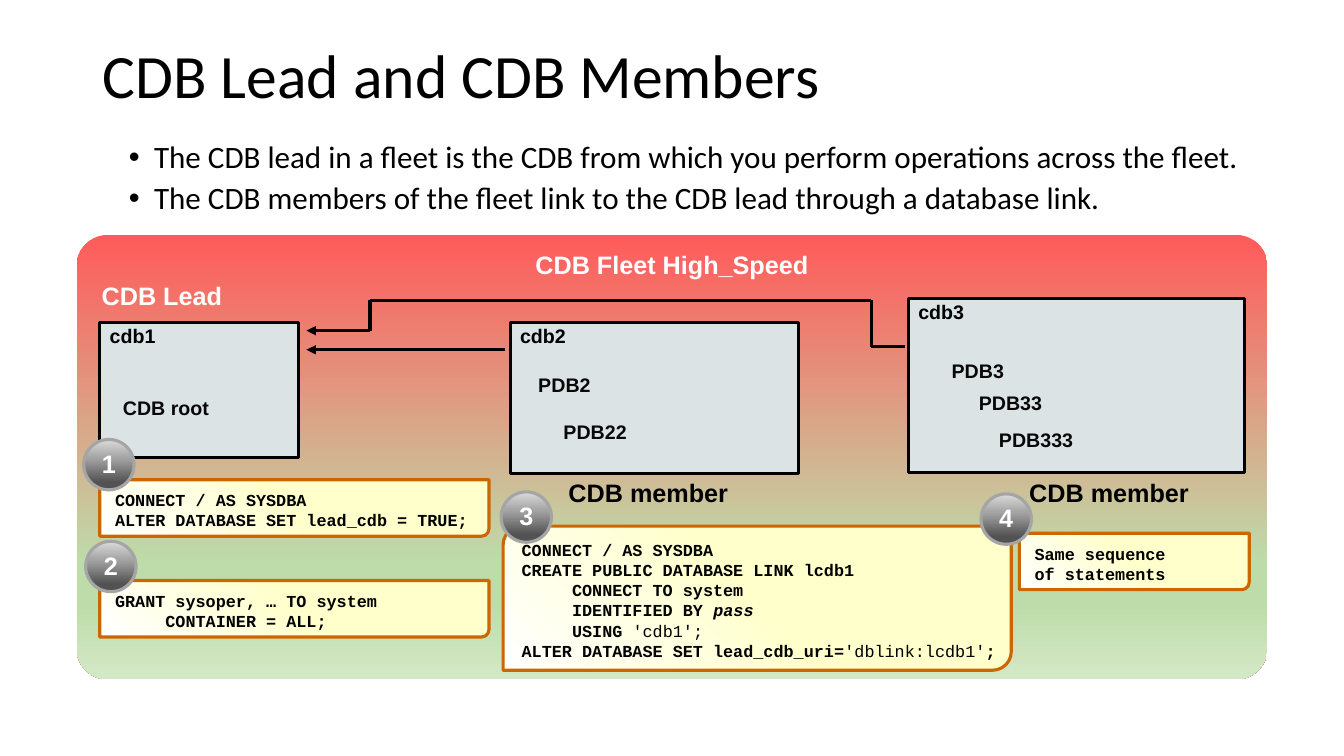
from dataclasses import dataclass
from itertools import pairwise
from typing import Any

import pptx
from lxml import etree
from pptx import oxml as ox
from pptx import util as u
from pptx.dml import color
from pptx.enum import shapes, text
from pptx.oxml import ns

BLACK, WHITE, LABEL = "000000", "FFFFFF", "080808"
PANEL_STOPS = [(0, "FF5B5B"), (74, "BEDCAA"), (83, "BEDCAA"), (100, "D4E8C6")]
CODE_STOPS = [(0, "FFFFCC"), (50, "FFFFCC"), (100, "FFFFFF")]
BADGE_STOPS = [(0, "DBDBDB"), (36, "A5A5A5"), (85, "525252")]
CODE_INSETS = (0.13, 0.08, 0.02, 0.04)
BOX_INSETS = (0.1, 0.05, 0.1, 0.05)
TOP, MIDDLE = text.MSO_ANCHOR.TOP, text.MSO_ANCHOR.MIDDLE
BADGE_SIZE = 0.5

Line = list[tuple[str, str]]


@dataclass
class Database:
    name: str
    x: float
    y: float
    w: float
    h: float


@dataclass
class Label:
    text: str
    x: float
    y: float
    w: float
    size: float = 14
    color: str = LABEL
    wrap: bool = False


@dataclass
class CodeBox:
    x: float
    y: float
    w: float
    h: float
    lines: list[Line]


@dataclass
class Badge:
    number: int
    x: float
    y: float


DATABASES = [
    Database("cdb1", 0.99, 3.2, 1.97, 1.34),
    Database("cdb2", 5.06, 3.2, 2.86, 1.5),
    Database("cdb3", 9.01, 2.96, 3.33, 1.73),
]
LABELS = [
    Label("CDB root", 1.12, 3.88, 1.18, wrap=True),
    Label("PDB2", 5.24, 3.65, 1.26, wrap=True),
    Label("PDB22", 5.49, 4.12, 0.85),
    Label("PDB3", 9.34, 3.51, 0.73),
    Label("PDB33", 9.61, 3.83, 0.84),
    Label("PDB333", 9.81, 4.2, 0.94),
    Label("CDB Lead", 0.91, 2.73, 1.41, 18, WHITE),
    Label("CDB member", 5.54, 4.69, 1.8, 18, BLACK),
    Label("CDB member", 10.11, 4.69, 1.8, 18, BLACK),
]
CODE_BOXES = [
    CodeBox(0.99, 4.76, 3.86, 0.56, [
        [("CONNECT / AS SYSDBA", "b")],
        [("ALTER DATABASE SET lead_cdb = TRUE;", "b")],
    ]),
    CodeBox(0.99, 5.76, 3.86, 0.56, [
        [("GRANT sysoper, … TO system", "b")],
        [("     CONTAINER = ALL;", "b")],
    ]),
    CodeBox(4.99, 5.22, 5.04, 1.43, [
        [("CONNECT / AS SYSDBA", "b")],
        [("CREATE PUBLIC DATABASE LINK lcdb1", "b")],
        [("     CONNECT TO system", "b")],
        [("     IDENTIFIED BY ", "b"), ("pass", "bi")],
        [("     USING ", "b"), ("'cdb1';", "")],
        [("ALTER DATABASE SET lead_cdb_uri=", "b"), ("'dblink:lcdb1'", ""), (";", "b")],
    ]),
    CodeBox(10.11, 5.29, 2.28, 0.56, [
        [("Same sequence", "b")],
        [("of statements", "b")],
    ]),
]
BADGES = [Badge(1, 0.83, 4.36), Badge(2, 0.85, 5.37), Badge(3, 4.97, 4.88), Badge(4, 9.73, 4.9)]
LINKS = [
    [(5.01, 3.47), (3.04, 3.47)],
    [(8.98, 3.44), (8.64, 3.44), (8.64, 2.98), (3.67, 2.98), (3.67, 3.28), (3.04, 3.28)],
]
BULLETS = [
    "The CDB lead in a fleet is the CDB from which you perform operations across the fleet.",
    "The CDB members of the fleet link to the CDB lead through a database link.",
]


def rgb(value: str) -> color.RGBColor:
    return color.RGBColor.from_string(value)


def inches(*values: float) -> list[u.Length]:
    return [u.Inches(v) for v in values]


def style(r: Any, size: float, font: str, fill: str, bold: bool = True, italic: bool = False) -> None:
    r.font.size, r.font.name = u.Pt(size), font
    r.font.bold, r.font.italic = bold, italic
    r.font.color.rgb = rgb(fill)


def set_frame(tf: Any, insets: tuple = BOX_INSETS, anchor: Any = TOP, wrap: bool = True) -> None:
    tf.margin_left, tf.margin_top, tf.margin_right, tf.margin_bottom = inches(*insets)
    tf.vertical_anchor, tf.word_wrap = anchor, wrap
    tf.auto_size = text.MSO_AUTO_SIZE.NONE


def set_text(tf: Any, words: str, size: float, fill: str, align: Any = text.PP_ALIGN.LEFT) -> Any:
    tf.text = words
    p = tf.paragraphs[0]
    p.alignment = align
    style(p.runs[0], size, "Arial", fill)
    return p


def add_box(s: Any, kind: Any, x: float, y: float, w: float, h: float, line: str | None) -> Any:
    sp = s.shapes.add_shape(kind, *inches(x, y, w, h))
    sp.shadow.inherit = False
    if line:
        sp.line.color.rgb, sp.line.width = rgb(line), u.Pt(2.25)
    else:
        sp.line.fill.background()
    return sp


def set_gradient(sp: Any, stops: list[tuple[int, str]], angle: int) -> None:
    sp.fill.background()
    gs = "".join(f'<a:gs pos="{pos * 1000}"><a:srgbClr val="{c}"/></a:gs>' for pos, c in stops)
    grad = ox.parse_xml(f'<a:gradFill {ns.nsdecls("a")} rotWithShape="1"><a:gsLst>{gs}</a:gsLst>'
                        f'<a:lin ang="{angle * 60000}" scaled="0"/></a:gradFill>')
    spPr = sp._element.spPr
    spPr.replace(spPr.find(ns.qn("a:noFill")), grad)


def add_title(s: Any) -> None:
    sp = s.shapes.title
    sp.left, sp.top, sp.width, sp.height = inches(0.92, 0.4, 11.5, 1.45)
    set_frame(sp.text_frame)
    p = set_text(sp.text_frame, "CDB Lead and CDB Members", 44, BLACK)
    p.line_spacing = 0.9
    style(p.runs[0], 44, "Calibri", BLACK, bold=False)


def add_bullets(s: Any) -> None:
    tf = s.shapes.add_textbox(*inches(0.68, 1.36, 11.97, 0.87)).text_frame
    set_frame(tf)
    tf.text = "\n".join(BULLETS)
    for i, p in enumerate(tf.paragraphs):
        pPr = p._p.get_or_add_pPr()
        pPr.set("marL", str(u.Inches(0.75)))
        pPr.set("indent", str(u.Inches(-0.25)))
        etree.SubElement(pPr, ns.qn("a:buFont")).set("typeface", "Arial")
        etree.SubElement(pPr, ns.qn("a:buChar")).set("char", "•")
        p.line_spacing, p.space_before = 0.9, u.Pt(5 if i else 0)
        style(p.runs[0], 22.2, "Calibri", BLACK, bold=False)


def add_panel(s: Any) -> None:
    sp = add_box(s, shapes.MSO_SHAPE.ROUNDED_RECTANGLE, 0.76, 2.33, 11.81, 4.41, None)
    sp.adjustments[0] = 0.07
    set_gradient(sp, PANEL_STOPS, 90)
    set_frame(sp.text_frame)
    set_text(sp.text_frame, "CDB Fleet High_Speed", 18, WHITE, text.PP_ALIGN.CENTER)


def add_database(s: Any, d: Database) -> None:
    sp = add_box(s, shapes.MSO_SHAPE.RECTANGLE, d.x, d.y, d.w, d.h, BLACK)
    sp.fill.solid()
    sp.fill.fore_color.rgb = rgb("DCE3E4")
    set_frame(sp.text_frame)
    set_text(sp.text_frame, d.name, 14, BLACK).line_spacing = 0.85


def add_label(s: Any, d: Label) -> None:
    tf = s.shapes.add_textbox(*inches(d.x, d.y, d.w, 0.4 if d.size > 14 else 0.34)).text_frame
    set_frame(tf, wrap=d.wrap)
    set_text(tf, d.text, d.size, d.color)


def add_link(s: Any, points: list[tuple[float, float]]) -> None:
    for start, end in pairwise(points):
        c = s.shapes.add_connector(shapes.MSO_CONNECTOR.STRAIGHT, *inches(*start, *end))
        c.line.color.rgb, c.line.width = rgb(BLACK), u.Pt(2.25)
        if end == points[-1]:
            etree.SubElement(c.line._get_or_add_ln(), ns.qn("a:tailEnd")).set("type", "triangle")
        etree.SubElement(c._element.spPr, ns.qn("a:effectLst"))


def add_code(s: Any, d: CodeBox) -> None:
    sp = add_box(s, shapes.MSO_SHAPE.ROUND_2_DIAG_RECTANGLE, d.x, d.y, d.w, d.h, "CC6600")
    sp.adjustments[0], sp.adjustments[1] = 0.13, 0
    set_gradient(sp, CODE_STOPS, 135)
    tf = sp.text_frame
    set_frame(tf, CODE_INSETS, MIDDLE)
    for i, line in enumerate(d.lines):
        p = tf.add_paragraph() if i else tf.paragraphs[0]
        p.alignment = text.PP_ALIGN.LEFT
        for words, marks in line:
            r = p.add_run()
            r.text = words
            style(r, 12, "Courier New", BLACK, "b" in marks, "i" in marks)


def add_badge(s: Any, d: Badge) -> None:
    sp = add_box(s, shapes.MSO_SHAPE.OVAL, d.x, d.y, BADGE_SIZE, BADGE_SIZE, "A5A5A5")
    set_gradient(sp, BADGE_STOPS, 90)
    set_frame(sp.text_frame, (0.07,) * 4, MIDDLE, wrap=False)
    set_text(sp.text_frame, str(d.number), 18, WHITE, text.PP_ALIGN.CENTER).line_spacing = 0.95


def main() -> None:
    prs = pptx.Presentation()
    prs.slide_width, prs.slide_height = inches(13.33, 7.5)
    s = prs.slides.add_slide(prs.slide_layouts[5])
    add_title(s)
    add_bullets(s)
    add_panel(s)
    for draw, items in [(add_database, DATABASES), (add_label, LABELS), (add_link, LINKS),
                        (add_code, CODE_BOXES), (add_badge, BADGES)]:
        for item in items:
            draw(s, item)
    prs.save("out.pptx")


if __name__ == "__main__":
    main()
